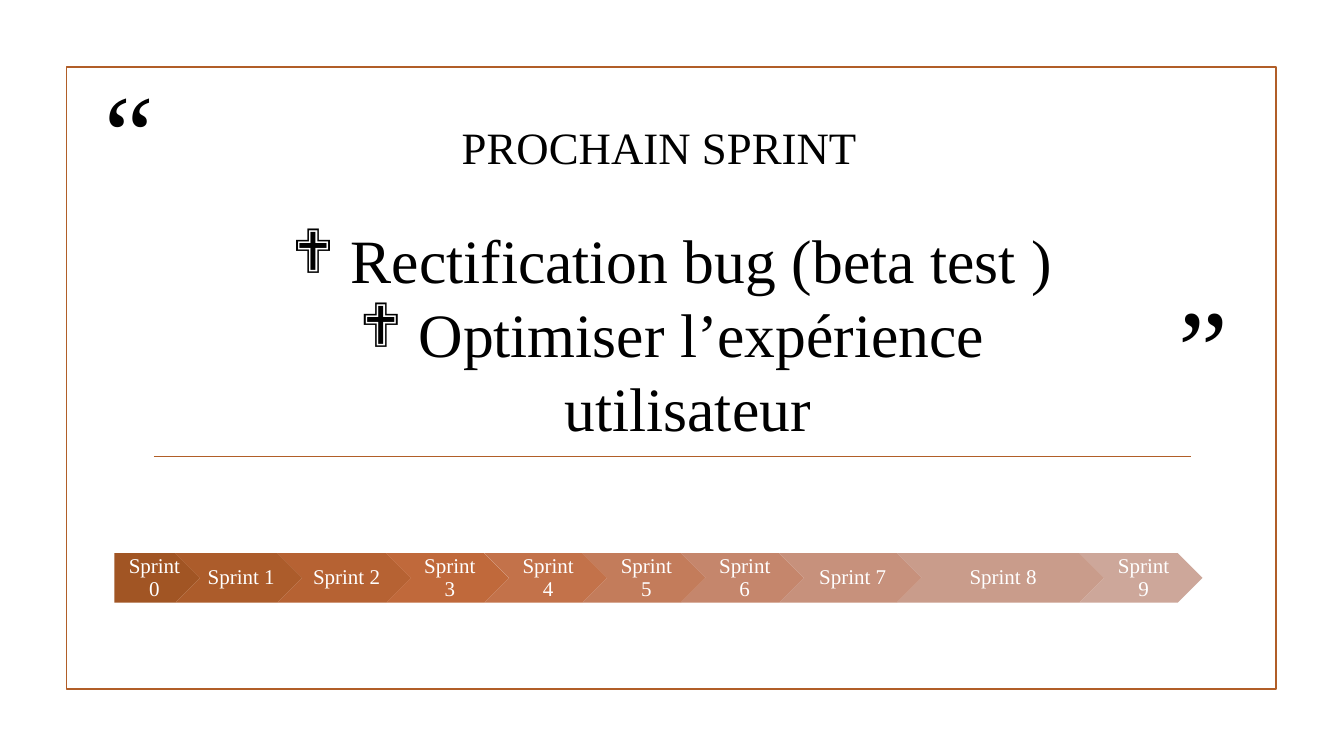
from lxml.etree import SubElement
from pptx import Presentation
from pptx.dml.color import RGBColor
from pptx.enum.shapes import MSO_CONNECTOR as Connector, MSO_SHAPE as Shape
from pptx.enum.text import MSO_ANCHOR as Anchor, MSO_AUTO_SIZE as AutoSize, PP_ALIGN as Align
from pptx.oxml.ns import qn
from pptx.util import Pt


def colour(value):
    return RGBColor.from_string(value)


class SlideBuilder:
    font = "Times New Roman"
    ink = "000000"
    accent = "B15E28"
    line_width = 1.25

    def __init__(self, presentation):
        self.slide = presentation.slides.add_slide(presentation.slide_layouts[1])

    def add_text(self, paragraph, text, size, ink=None, align=Align.CENTER):
        paragraph.alignment = align
        paragraph.space_before = Pt(0)
        run = paragraph.add_run()
        run.text = text
        run.font.name = self.font
        run.font.size = Pt(size)
        run.font.color.rgb = colour(ink or self.ink)

    def place(self, shape, left, top, width, height):
        shape.left, shape.top = Pt(left), Pt(top)
        shape.width, shape.height = Pt(width), Pt(height)
        shape.text_frame.auto_size = AutoSize.NONE
        shape.text_frame.word_wrap = True

    def title(self, text, size, *box):
        shape = self.slide.shapes.title
        self.place(shape, *box)
        shape.text_frame.vertical_anchor = Anchor.TOP
        self.add_text(shape.text_frame.paragraphs[0], text, size)

    def bullets(self, items, size, symbol, indent, *box):
        shape = self.slide.placeholders[1]
        self.place(shape, *box)
        frame = shape.text_frame
        for index, item in enumerate(items):
            paragraph = frame.add_paragraph() if index else frame.paragraphs[0]
            properties = paragraph._p.get_or_add_pPr()
            properties.set("marL", str(Pt(indent)))
            properties.set("indent", str(-Pt(indent)))
            SubElement(properties, qn("a:buFont"), typeface="Wingdings")
            SubElement(properties, qn("a:buChar"), char=symbol)
            self.add_text(paragraph, item, size)

    def quote(self, mark, align, *box):
        shape = self.slide.shapes.add_textbox(0, 0, 0, 0)
        self.place(shape, *box)
        shape.text_frame.vertical_anchor = Anchor.MIDDLE
        self.add_text(shape.text_frame.paragraphs[0], mark, 80, align=align)

    def frame(self, *box):
        shape = self.slide.shapes.add_shape(Shape.RECTANGLE, *map(Pt, box))
        shape.shadow.inherit = False
        shape.fill.background()
        shape.line.color.rgb = colour(self.accent)
        shape.line.width = Pt(self.line_width)

    def rule(self, left, right, top):
        line = self.slide.shapes.add_connector(
            Connector.STRAIGHT, Pt(left), Pt(top), Pt(right), Pt(top))
        line.line.color.rgb = colour(self.accent)
        line.line.width = Pt(self.line_width)
        SubElement(line._element.spPr, qn("a:effectLst"))

    def step(self, kind, text, fill, *box):
        shape = self.slide.shapes.add_shape(kind, *map(Pt, box))
        shape.shadow.inherit = False
        shape.fill.solid()
        shape.fill.fore_color.rgb = colour(fill)
        shape.line.fill.background()
        frame = shape.text_frame
        frame.word_wrap = True
        frame.vertical_anchor = Anchor.MIDDLE
        frame.margin_left = Pt(6.5 if kind == Shape.PENTAGON else 5)
        frame.margin_right = Pt(1.5)
        frame.margin_top = frame.margin_bottom = Pt(3)
        frame.paragraphs[0].line_spacing = 0.9
        self.add_text(frame.paragraphs[0], text, 15, "FFFFFF")

    def timeline(self, sprints, left, top, height):
        for number, (width, fill) in enumerate(sprints):
            kind = Shape.CHEVRON if number else Shape.PENTAGON
            self.step(kind, f"Sprint {number}", fill, left, top, width, height)
            left += width - height / 2


SPRINTS = [
    (61.2, "A15524"), (90.7, "AC5C2B"), (95, "B66233"), (87.8, "C0693B"),
    (87.8, "C3724A"), (87.8, "C37C5B"), (87.8, "C5866C"), (101.8, "C7917C"),
    (148.1, "C99C8B"), (87.8, "CDA79A"),
]


def main():
    presentation = Presentation()
    presentation.slide_width, presentation.slide_height = Pt(960), Pt(540)
    builder = SlideBuilder(presentation)
    builder.frame(47.5, 48, 864, 444)
    builder.quote("“", Align.LEFT, 67.7, 69, 48, 46)
    builder.quote("”", Align.RIGHT, 834.5, 222.5, 48, 46)
    builder.rule(110, 850.5, 326)
    builder.timeline(SPRINTS, 81.6, 395.2, 35.2)
    builder.bullets(
        [" Rectification bug (beta test )", " Optimiser l’expérience utilisateur"],
        44, "❖", 22.5, 163.4, 154.8, 633.6, 113.8)
    builder.title("PROCHAIN SPRINT", 32, 287.3, 82, 367.2, 46)
    presentation.save("out.pptx")


if __name__ == "__main__":
    main()
